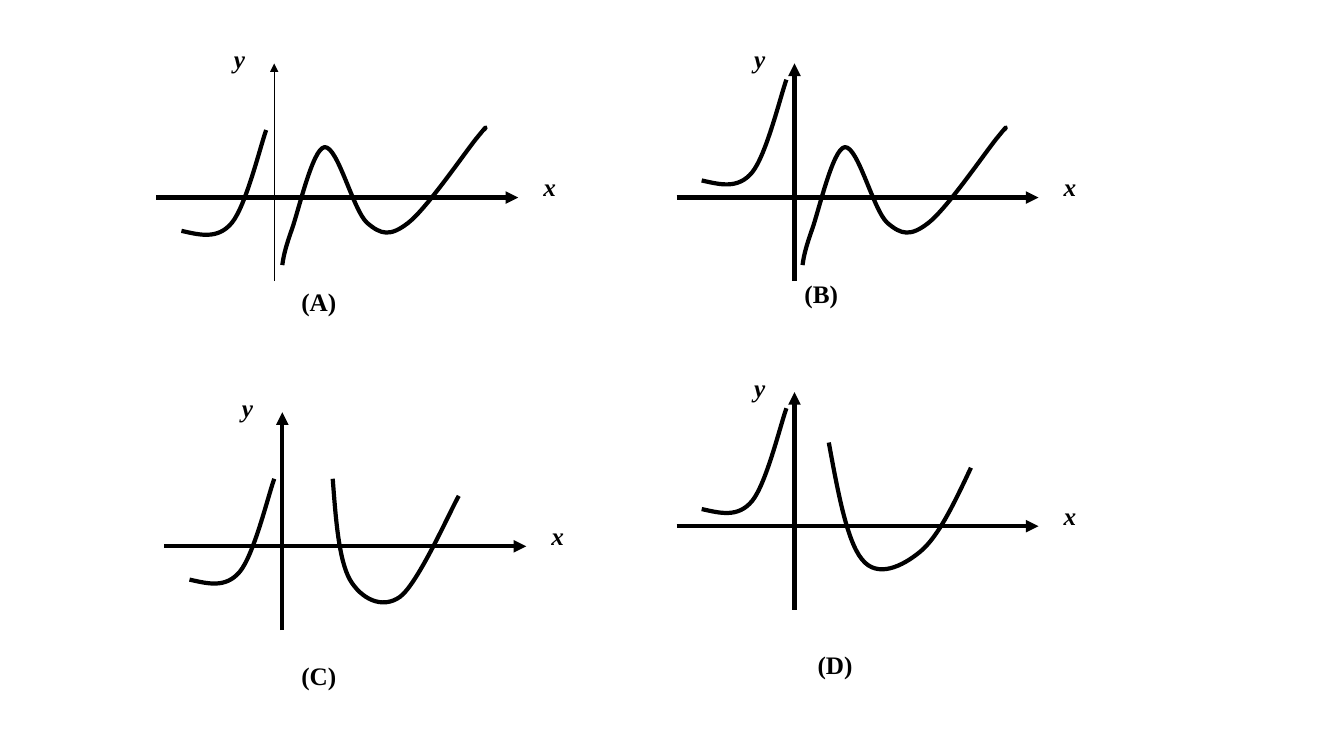
from pptx import Presentation
from pptx.dml.color import RGBColor
from pptx.enum import shapes, text
from pptx.oxml import ns
from pptx.util import Inches, Pt
from lxml import etree

BLACK = RGBColor(0, 0, 0)
FONT = "Times New Roman"

# Curves: a start point, then three points per Bezier segment, in inches from the origin
LEFT_BRANCH = [(-0.92, 0.33), (-0.74, 0.37), (-0.56, 0.42), (-0.42, 0.25),
               (-0.28, 0.08), (-0.14, -0.5), (-0.08, -0.67)]
RAISED_BRANCH = [(x, y - 0.5) for x, y in LEFT_BRANCH]
WAVE = [(0.08, 0.67), (0.09, 0.6), (0.1, 0.53), (0.17, 0.33),
        (0.24, 0.14), (0.38, -0.49), (0.5, -0.5),
        (0.63, -0.51), (0.78, 0.12), (0.92, 0.25),
        (1.06, 0.37), (1.15, 0.39), (1.33, 0.25),
        (1.51, 0.11), (1.88, -0.43), (2.0, -0.58),
        (2.13, -0.74), (2.1, -0.7), (2.08, -0.67)]
VALLEY_C = [(0.5, -0.67), (0.53, -0.27), (0.56, 0.13), (0.67, 0.33),
            (0.78, 0.52), (0.99, 0.63), (1.17, 0.5),
            (1.35, 0.36), (1.66, -0.34), (1.75, -0.5)]
VALLEY_D = [(0.34, -0.83), (0.43, -0.34), (0.52, 0.15), (0.67, 0.33),
            (0.82, 0.52), (1.07, 0.4), (1.25, 0.25),
            (1.43, 0.1), (1.59, -0.24), (1.75, -0.58)]

X_AXIS = ((-1.17, 0), (2.42, 0))
Y_AXIS = ((0, 0.83), (0, -1.33))
X_LABEL = (2.57, -0.31, 0.32)
Y_LABEL = (-0.5, -1.58, 0.31)

# caption, origin, caption offset and width, y axis weight, curves
GRAPHS = [
    ("(A)", (2.72, 1.96), (0.17, 0.83, 0.55), 0.75, (LEFT_BRANCH, WAVE)),
    ("(B)", (7.88, 1.96), (0, 0.75, 0.53), 3, (RAISED_BRANCH, WAVE)),
    ("(C)", (2.8, 5.42), (0.09, 1.08, 0.55), 3, (LEFT_BRANCH, VALLEY_C)),
    ("(D)", (7.88, 5.22), (0.13, 1.17, 0.55), 3, (RAISED_BRANCH, VALLEY_D)),
]


def place(origin, point):
    return Inches(origin[0] + point[0]), Inches(origin[1] + point[1])


def add_axis(group, origin, ends, weight):
    start, end = (place(origin, p) for p in ends)
    axis = group.shapes.add_connector(shapes.MSO_CONNECTOR.STRAIGHT, *start, *end)
    axis.line.color.rgb = BLACK
    axis.line.width = Pt(weight)
    etree.SubElement(axis.line._get_or_add_ln(), ns.qn("a:tailEnd"), type="triangle")
    etree.SubElement(axis._element.spPr, ns.qn("a:effectLst"))


def add_curve(group, origin, points):
    """Draw the points as a freeform and join each three steps into a cubic curve."""
    start, *rest = [place(origin, p) for p in points]
    builder = group.shapes.build_freeform(*start)
    builder.add_line_segments(rest, close=False)
    sp = builder.convert_to_shape()
    sp.shadow.inherit = False
    sp.fill.background()
    sp.line.color.rgb = BLACK
    sp.line.width = Pt(3)
    steps = list(sp._element.iter(ns.qn("a:lnTo")))
    outline = steps[0].getparent()
    for i in range(0, len(steps), 3):
        cubic = etree.SubElement(outline, ns.qn("a:cubicBezTo"))
        for step in steps[i:i + 3]:
            cubic.append(step[0])
            outline.remove(step)


def add_label(group, origin, spot, words, italic):
    x, y, width = spot
    box = group.shapes.add_textbox(*place(origin, (x, y)), Inches(width), Inches(0.4))
    tf = box.text_frame
    tf.word_wrap = False
    tf.auto_size = text.MSO_AUTO_SIZE.SHAPE_TO_FIT_TEXT
    r = tf.paragraphs[0].add_run()
    r.text = words
    r.font.name = FONT
    r.font.size = Pt(18)
    r.font.bold = True
    r.font.italic = italic
    r.font.color.rgb = BLACK


prs = Presentation()
prs.slide_width, prs.slide_height = Inches(13.33), Inches(7.5)
s = prs.slides.add_slide(prs.slide_layouts[6])

for caption, origin, caption_spot, y_weight, curves in GRAPHS:
    graph = s.shapes.add_group_shape()
    add_axis(graph, origin, X_AXIS, 3)
    add_axis(graph, origin, Y_AXIS, y_weight)
    for curve in curves:
        add_curve(graph, origin, curve)
    add_label(graph, origin, X_LABEL, "x", True)
    add_label(graph, origin, Y_LABEL, "y", True)
    add_label(graph, origin, caption_spot, caption, False)

prs.save("out.pptx")
